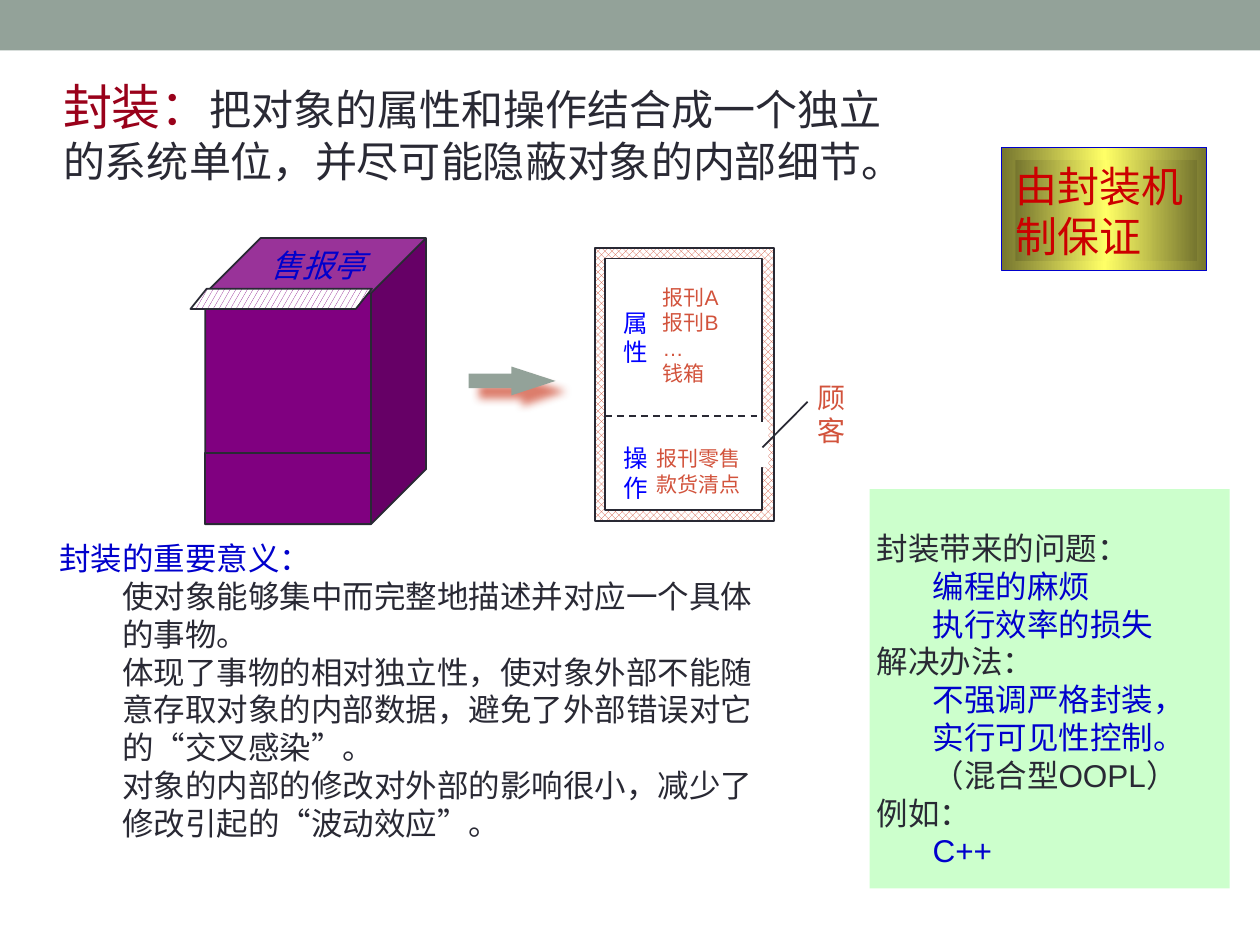
from lxml import etree
from pptx import Presentation
from pptx.dml.color import RGBColor
from pptx.enum.dml import MSO_LINE, MSO_PATTERN
from pptx.enum.shapes import MSO_CONNECTOR, MSO_SHAPE
from pptx.enum.text import MSO_ANCHOR, MSO_AUTO_SIZE, PP_ALIGN
from pptx.oxml.ns import qn
from pptx.util import Cm, Pt

RECT, CUBE = MSO_SHAPE.RECTANGLE, MSO_SHAPE.CUBE
AWNING, ARROW = MSO_SHAPE.PARALLELOGRAM, MSO_SHAPE.RIGHT_ARROW
CONFETTI, DIAMOND = MSO_PATTERN.LARGE_CONFETTI, MSO_PATTERN.OUTLINED_DIAMOND
DASH, STRAIGHT = MSO_LINE.DASH, MSO_CONNECTOR.STRAIGHT
TOP, MIDDLE, LEFT = MSO_ANCHOR.TOP, MSO_ANCHOR.MIDDLE, PP_ALIGN.LEFT
NO_FIT = MSO_AUTO_SIZE.NONE

FONT = "Arial"
INK = RGBColor(0x29, 0x29, 0x34)
SAGE = RGBColor(0x93, 0xA2, 0x99)
WHITE = RGBColor(0xFF, 0xFF, 0xFF)
MAROON = RGBColor(0x99, 0x01, 0x1A)
PURPLE = RGBColor(0x80, 0x00, 0x80)
NAVY = RGBColor(0x00, 0x00, 0xCC)
BLUE = RGBColor(0x00, 0x00, 0xFF)
BRICK = RGBColor(0xD2, 0x53, 0x3C)
RED = RGBColor(0xCC, 0x00, 0x00)
OLIVE = RGBColor(0x76, 0x76, 0x2F)
YELLOW = RGBColor(0xFF, 0xFF, 0x66)
MINT = RGBColor(0xCC, 0xFF, 0xCC)

INDENT = Cm(1.27)


def style_run(run, size, color, italic=False):
    run.font.name = FONT
    run.font.size = Pt(size)
    run.font.color.rgb = color
    run.font.italic = italic


def set_frame(frame, margins=(0, 0, 0, 0), anchor=TOP, wrap=True):
    frame.margin_left, frame.margin_top, frame.margin_right, frame.margin_bottom = (
        Cm(margin) for margin in margins)
    frame.vertical_anchor = anchor
    frame.word_wrap = wrap
    frame.auto_size = NO_FIT


def place(shape, box):
    shape.left, shape.top, shape.width, shape.height = (Cm(value) for value in box)


def add_block(slide, kind, box, fill=None, line=None, line_width=1, adjust=()):
    block = slide.shapes.add_shape(kind, *(Cm(value) for value in box))
    block.shadow.inherit = False
    for index, value in enumerate(adjust):
        block.adjustments[index] = value
    if fill is not None:
        block.fill.solid()
        block.fill.fore_color.rgb = fill
    if line is None:
        block.line.fill.background()
    else:
        block.line.color.rgb = line
        block.line.width = Pt(line_width)
    return block


def fill_pattern(block, pattern, color):
    block.fill.patterned()
    block.fill.pattern = pattern
    block.fill.fore_color.rgb = color
    block.fill.back_color.rgb = WHITE


def fill_gradient(block):
    block.fill.gradient()
    block.fill.gradient_angle = 0
    stop_list = block.fill.gradient_stops[0].color  # first of the two default stops
    stop_list.rgb = OLIVE
    block.fill.gradient_stops[1].color.rgb = OLIVE
    stops = block._element.spPr.find(qn("a:gradFill")).find(qn("a:gsLst"))
    stops[0].set("pos", "0")
    stops[1].set("pos", "100000")
    middle = etree.Element(qn("a:gs"), pos="50000")
    etree.SubElement(middle, qn("a:srgbClr"), val=str(YELLOW))
    stops.insert(1, middle)


def cast_shadow(block):
    effects = block._element.spPr.find(qn("a:effectLst"))
    shadow = etree.SubElement(effects, qn("a:outerShdw"), blurRad=str(Pt(5)),
                              dist=str(Pt(8.5)), dir="2700000", algn="ctr",
                              rotWithShape="0")
    color = etree.SubElement(shadow, qn("a:srgbClr"), val=str(BRICK))
    etree.SubElement(color, qn("a:alpha"), val="75000")


def add_line(slide, start, end, dash=None):
    line = slide.shapes.add_connector(STRAIGHT, *(Cm(value) for value in start + end))
    line.line.color.rgb = INK
    line.line.width = Pt(1)
    if dash is not None:
        line.line.dash_style = dash
    etree.SubElement(line._element.spPr, qn("a:effectLst"))


def add_label(slide, box, text, size, color, wrap=True, italic=False):
    label = slide.shapes.add_textbox(*(Cm(value) for value in box))
    set_frame(label.text_frame, (0.25, 0.13, 0.25, 0.13), wrap=wrap)
    label.text_frame.text = text
    for paragraph in label.text_frame.paragraphs:
        style_run(paragraph.runs[0], size, color, italic)


def write_outline(frame, entries, heading_indent=0):
    """Fill a frame with (level, text, color) entries at 18 pt."""
    frame.text = "\n".join(text for _, text, _ in entries)
    for paragraph, (level, _, color) in zip(frame.paragraphs, entries):
        paragraph.level = level
        paragraph.alignment = LEFT
        paragraph.space_before = Pt(0)
        properties = paragraph._p.get_or_add_pPr()
        properties.set("marL", str(INDENT if level else heading_indent))
        properties.set("indent", "0")
        etree.SubElement(properties, qn("a:buNone"))
        style_run(paragraph.runs[0], 18, color)


def write_definition(title):
    place(title, (1.27, 1.55, 17.27, 2.21))
    set_frame(title.text_frame)
    title.text_frame.text = "封装："
    paragraph = title.text_frame.paragraphs[0]
    paragraph.alignment = LEFT
    style_run(paragraph.runs[0], 28, MAROON)
    meaning = paragraph.add_run()
    meaning.text = "把对象的属性和操作结合成一个独立的系统单位，并尽可能隐蔽对象的内部细节。"
    style_run(meaning, 24, INK)


def write_significance(body):
    place(body, (1.19, 10.87, 14.4, 6.78))
    set_frame(body.text_frame)
    write_outline(body.text_frame, [
        (0, "封装的重要意义：", NAVY),
        (1, "使对象能够集中而完整地描述并对应一个具体的事物。", INK),
        (1, "体现了事物的相对独立性，使对象外部不能随意存取对象的内部数据，"
            "避免了外部错误对它的“交叉感染”。", INK),
        (1, "对象的内部的修改对外部的影响很小，减少了修改引起的“波动效应”。", INK),
    ])


def draw_kiosk(slide):
    add_block(slide, CUBE, (4.14, 4.8, 4.45, 5.77), PURPLE, INK, adjust=[0.25])
    add_block(slide, RECT, (4.14, 9.14, 3.33, 1.42), PURPLE, INK)
    awning = add_block(slide, AWNING, (3.84, 5.82, 3.66, 0.41), line=INK, adjust=[0.8])
    fill_pattern(awning, CONFETTI, PURPLE)
    add_label(slide, (5.21, 4.83, 2.41, 1.02), "售报亭", 18, NAVY, wrap=False, italic=True)


def draw_object_model(slide):
    # Wall with the object inside, and an opening for the customer
    wall = add_block(slide, RECT, (11.99, 5, 3.61, 5.51), line=INK)
    fill_pattern(wall, DIAMOND, BRICK)
    add_block(slide, RECT, (12.19, 5.21, 3.18, 5.08), WHITE, INK)
    add_line(slide, (12.19, 8.38), (15.37, 8.38), DASH)
    add_block(slide, RECT, (15.16, 8.51, 0.33, 0.91), WHITE)
    # Attributes and operations
    add_label(slide, (12.32, 6.07, 1.14, 1.42), "属\n性", 14, BLUE)
    add_label(slide, (12.32, 8.81, 1.14, 1.42), "操作", 14, BLUE)
    add_label(slide, (13.11, 5.61, 2.06, 2.29), "报刊A\n报刊B\n…\n钱箱", 12, BRICK)
    add_label(slide, (12.98, 8.86, 2.79, 1.27), "报刊零售\n款货清点", 12, BRICK)
    # Customer
    add_label(slide, (16.23, 7.54, 1.07, 1.6), "顾\n客", 16, BRICK, wrap=False)
    add_line(slide, (15.37, 9.02), (16.28, 8.1))


def draw_guarantee(slide):
    border = add_block(slide, RECT, (20.19, 2.97, 4.14, 2.49), line=NAVY, line_width=0.75)
    fill_gradient(border)
    plate = add_block(slide, RECT, (20.47, 3.23, 3.66, 2.03))
    fill_gradient(plate)
    set_frame(plate.text_frame)
    plate.text_frame.text = "由封装机制保证"
    paragraph = plate.text_frame.paragraphs[0]
    paragraph.alignment = LEFT
    style_run(paragraph.runs[0], 24, RED)


def draw_problems(slide):
    panel = add_block(slide, RECT, (17.53, 9.86, 7.26, 8.05), MINT)
    set_frame(panel.text_frame, (0, 0.42, 0, 0), MIDDLE)
    write_outline(panel.text_frame, [
        (0, "封装带来的问题：", INK),
        (1, "编程的麻烦", NAVY),
        (1, "执行效率的损失", NAVY),
        (0, "解决办法：", INK),
        (1, "不强调严格封装，", NAVY),
        (1, "实行可见性控制。", NAVY),
        (1, "（混合型OOPL）", INK),
        (0, "例如：", INK),
        (1, "C++", NAVY),
    ], heading_indent=Cm(0.15))


def main():
    deck = Presentation()
    deck.slide_width, deck.slide_height = Cm(25.4), Cm(19.05)
    slide = deck.slides.add_slide(deck.slide_layouts[1])
    add_block(slide, RECT, (0, 0, 25.4, 1.02), SAGE)
    write_definition(slide.shapes.title)
    draw_kiosk(slide)
    becomes = add_block(slide, ARROW, (9.45, 7.39, 1.75, 0.58), SAGE, adjust=[0.5, 1.53])
    cast_shadow(becomes)
    draw_object_model(slide)
    write_significance(slide.placeholders[1])
    draw_guarantee(slide)
    draw_problems(slide)
    deck.save("out.pptx")


if __name__ == "__main__":
    main()
